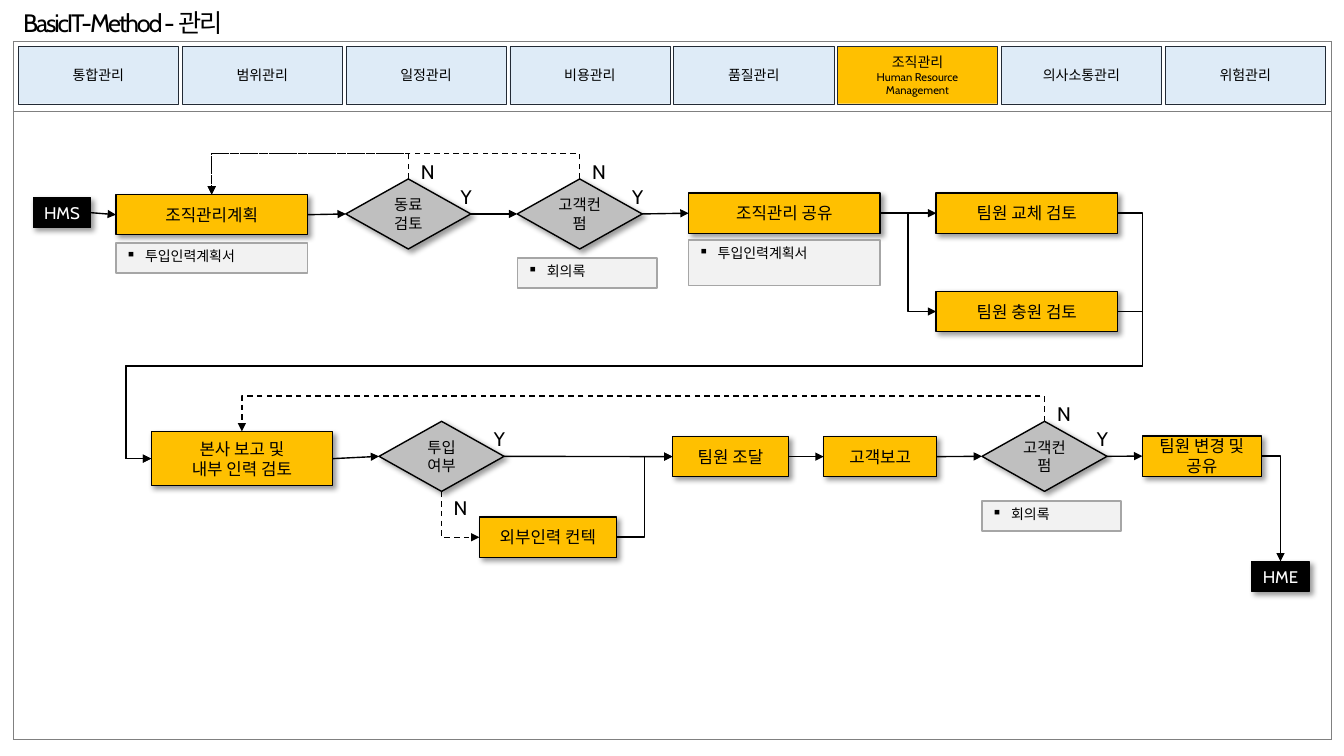
from lxml.etree import SubElement
from pptx import Presentation
from pptx.dml.color import RGBColor
from pptx.enum.dml import MSO_LINE
from pptx.enum.shapes import MSO_CONNECTOR, MSO_SHAPE
from pptx.enum.text import MSO_ANCHOR, MSO_AUTO_SIZE, PP_ALIGN
from pptx.oxml.ns import qn
from pptx.util import Inches, Pt

CELL = Inches(0.1)  # side of one grid cell
LATIN, KOREAN = "Cabin", "Noto Sans CJK KR"
AMBER, BLACK, WHITE = "FFC000", "000000", "FFFFFF"
TOP, LEFT, BOTTOM, RIGHT = range(4)  # connection sites


def color(value):
    return RGBColor.from_string(value)


def grid(*cells):
    return [round(count * CELL) for count in cells]


def add(parent, tag, **attributes):
    return SubElement(parent, qn(tag), attributes)


class FlowSlide:
    def __init__(self, deck):
        self.slide = deck.slides.add_slide(deck.slide_layouts[5])
        self.shapes = self.slide.shapes

    def style(self, paragraph, size, ink=BLACK, latin=LATIN, align=PP_ALIGN.LEFT):
        paragraph.alignment = align
        font = paragraph.font
        font.size, font.name, font.bold = Pt(size), latin, False
        font.color.rgb = color(ink)
        add(font._element, "a:ea", typeface=KOREAN)

    def free_text(self, frame, text, size):
        frame.text = text
        frame.word_wrap = False
        frame.auto_size = MSO_AUTO_SIZE.SHAPE_TO_FIT_TEXT
        frame.vertical_anchor = MSO_ANCHOR.TOP
        self.style(frame.paragraphs[0], size)

    def title(self, text, *place):
        title = self.shapes.title
        title.left, title.top, title.width, title.height = grid(*place)
        self.free_text(title.text_frame, text, 18)
        title.text_frame.paragraphs[0].font._element.set("spc", "-150")

    def label(self, text, *place):
        self.free_text(self.shapes.add_textbox(*grid(*place)).text_frame, text, 14)

    def frame(self, place, row_heights):
        table = self.shapes.add_table(len(row_heights), 1, *grid(*place)).table
        table.first_row = table.horz_banding = False
        for row, height in zip(table.rows, grid(*row_heights)):
            row.height = height
            cell = row.cells[0]
            properties = cell._tc.get_or_add_tcPr()
            for side in ("a:lnL", "a:lnR", "a:lnT", "a:lnB"):
                border = add(properties, side, w=str(Pt(0.5)))
                add(add(border, "a:solidFill"), "a:srgbClr", val="808080")
            cell.fill.background()

    def box(self, text, place, fill, sizes=(12,), ink=BLACK, edge=BLACK,
            weight=1, preset=MSO_SHAPE.RECTANGLE, shadow=True):
        box = self.shapes.add_shape(preset, *grid(*place))
        box.fill.solid()
        box.fill.fore_color.rgb = color(fill)
        box.line.color.rgb = color(edge)
        box.line.width = Pt(weight)
        box.shadow.inherit = False
        if shadow:
            effects = box._element.spPr.find(qn("a:effectLst"))
            outer = add(effects, "a:outerShdw", blurRad=str(Pt(4)), dist=str(Pt(3)),
                        dir="2700000", algn="tl", rotWithShape="0")
            add(add(outer, "a:srgbClr", val=BLACK), "a:alpha", val="40000")
        box.text_frame.text = text
        box.text_frame.vertical_anchor = MSO_ANCHOR.MIDDLE
        for index, paragraph in enumerate(box.text_frame.paragraphs):
            size = sizes[min(index, len(sizes) - 1)]
            self.style(paragraph, size, ink, align=PP_ALIGN.CENTER)
        return box

    def tab(self, text, place, active):
        self.box(text, place, AMBER if active else "DEEBF7", (10, 8),
                 edge="222A35", weight=0.25, shadow=False)

    def task(self, text, *place):
        return self.box(text, place, AMBER)

    def terminal(self, text, left, top):
        return self.box(text, (left, top, 5.7, 3), BLACK, ink=WHITE)

    def decision(self, text, left, top, no_offset=(6.45, -2.4)):
        self.label("Y", left + 10.4, top + 0.1, 3.2, 3.4)
        self.label("N", left + no_offset[0], top + no_offset[1], 3.5, 3.4)
        return self.box(text, (left, top, 12.4, 6.95), "BFBFBF", (11,),
                        preset=MSO_SHAPE.DIAMOND)

    def document(self, text, *place):
        note = self.box("", place, "F2F2F2", edge="A6A6A6", shadow=False)
        note.text_frame.vertical_anchor = MSO_ANCHOR.TOP
        paragraph = note.text_frame.paragraphs[0]
        paragraph.text = text
        properties = paragraph._p.get_or_add_pPr()
        properties.set("marL", str(Inches(0.19)))
        properties.set("indent", str(-Inches(0.19)))
        for old in list(properties):
            properties.remove(old)
        add(properties, "a:buChar", char="▪")
        self.style(paragraph, 10, latin=KOREAN)

    def link(self, start, end, sites=(RIGHT, LEFT), kind=MSO_CONNECTOR.STRAIGHT,
             dashed=False):
        link = self.shapes.add_connector(kind, 0, 0, 0, 0)
        link.begin_connect(start, sites[0])
        link.end_connect(end, sites[1])
        link.line.color.rgb = color(BLACK)
        link.line.width = Pt(1)
        if dashed:
            link.line.dash_style = MSO_LINE.DASH
        properties = link._element.spPr
        add(properties.find(qn("a:ln")), "a:tailEnd", type="triangle")
        add(properties, "a:effectLst")
        return link

    def elbow(self, start, end, sites=(RIGHT, LEFT), dashed=False):
        return self.link(start, end, sites, MSO_CONNECTOR.ELBOW, dashed)

    def bend(self, link, preset, *shares):
        geometry = link._element.spPr.find(qn("a:prstGeom"))
        geometry.set("prst", preset)
        for number, share in enumerate(shares, 1):
            add(geometry.find(qn("a:avLst")), "a:gd", name=f"adj{number}",
                fmla=f"val {round(share * 100000)}")

    def turn(self, link):
        """Make an elbow leave its start vertically."""
        leftward = link.begin_x > link.end_x
        shift = (link.width - link.height) // 2
        link.left, link.top = link.left + shift, link.top - shift
        link.width, link.height = link.height, link.width
        transform = link._element.spPr.find(qn("a:xfrm"))
        transform.set("rot", "16200000")
        transform.set("flipH", "1")
        transform.set("flipV", "1" if leftward else "0")

    def loop_back(self, start, end, rise=2.5):
        link = self.elbow(start, end, (TOP, TOP), dashed=True)
        self.turn(link)
        self.bend(link, "bentConnector3", -rise * CELL / link.width)

    def next_row(self, start, end, lane=36.3, reach=2.5):
        link = self.elbow(start, end)
        side = reach * CELL / link.width
        middle = (lane * CELL - link.top) / link.height
        self.bend(link, "bentConnector5", -side, middle, 1 + side)


def main():
    deck = Presentation()
    deck.slide_width, deck.slide_height = Inches(13.33), Inches(7.5)
    page = FlowSlide(deck)

    # Title, frame and process tabs
    page.title("BasicIT-Method - 관리", 1.3, 0.2, 22.7, 4)
    page.frame((1.3, 4.1, 130.7, 69.3), (6.9, 62.4))
    areas = ["통합관리", "범위관리", "일정관리", "비용관리", "품질관리",
             "조직관리\nHuman Resource Management", "의사소통관리", "위험관리"]
    for index, area in enumerate(areas):
        page.tab(area, (1.8 + 16.25 * index, 4.6, 15.9, 5.7), index == 5)

    # Upper row: planning and sharing
    begin = page.terminal("HMS", 3.3, 19.6)
    plan = page.task("조직관리계획", 11.5, 19.3, 19, 4)
    peer_review = page.decision("동료\n검토", 34.3, 17.75)
    plan_approval = page.decision("고객컨펌", 51.3, 17.75)
    share = page.task("조직관리 공유", 68.3, 19.15, 19, 4)
    replace = page.task("팀원 교체 검토", 92.85, 19.15, 18, 4)
    recruit = page.task("팀원 충원 검토", 92.85, 28.9, 18, 4)
    page.document("투입인력계획서", 11.5, 24.1, 19, 3)
    page.document("회의록", 51.35, 25.6, 13.8, 3)
    page.document("투입인력계획서", 68.3, 23.8, 19, 4.5)

    # Lower row: staffing and change
    report = page.task("본사 보고 및\n내부 인력 검토", 15, 42.8, 18, 5.4)
    assign = page.decision("투입\n여부", 37.6, 41.8, (6.4, 6.9))
    outsource = page.task("외부인력 컨텍", 47.55, 51.3, 13.6, 4)
    procure = page.task("팀원 조달", 66.7, 43.3, 11.5, 4)
    client_report = page.task("고객보고", 81.7, 43.3, 11.2, 4)
    change_approval = page.decision("고객컨펌", 97.4, 41.8)
    change = page.task("팀원 변경 및 공유", 113.3, 43.25, 11.8, 4)
    finish = page.terminal("HME", 124.15, 55.7)
    page.document("회의록", 97.4, 49.7, 13.8, 3)

    # Straight arrows
    upper = [begin, plan, peer_review, plan_approval, share, replace]
    lower = [report, assign, procure, client_report, change_approval, change]
    for row in (upper, lower):
        for start, end in zip(row, row[1:]):
            page.link(start, end)

    # Branches, returns and the passage between rows
    page.elbow(share, recruit)
    page.elbow(outsource, procure)
    page.loop_back(plan_approval, plan)
    page.loop_back(peer_review, plan)
    page.loop_back(change_approval, report)
    for review in (replace, recruit):
        page.next_row(review, report)
    to_outsource = page.elbow(assign, outsource, (BOTTOM, LEFT), dashed=True)
    page.turn(to_outsource)
    page.bend(to_outsource, "bentConnector2")
    page.bend(page.elbow(change, finish, (RIGHT, TOP)), "bentConnector2")

    deck.save("out.pptx")


if __name__ == "__main__":
    main()
